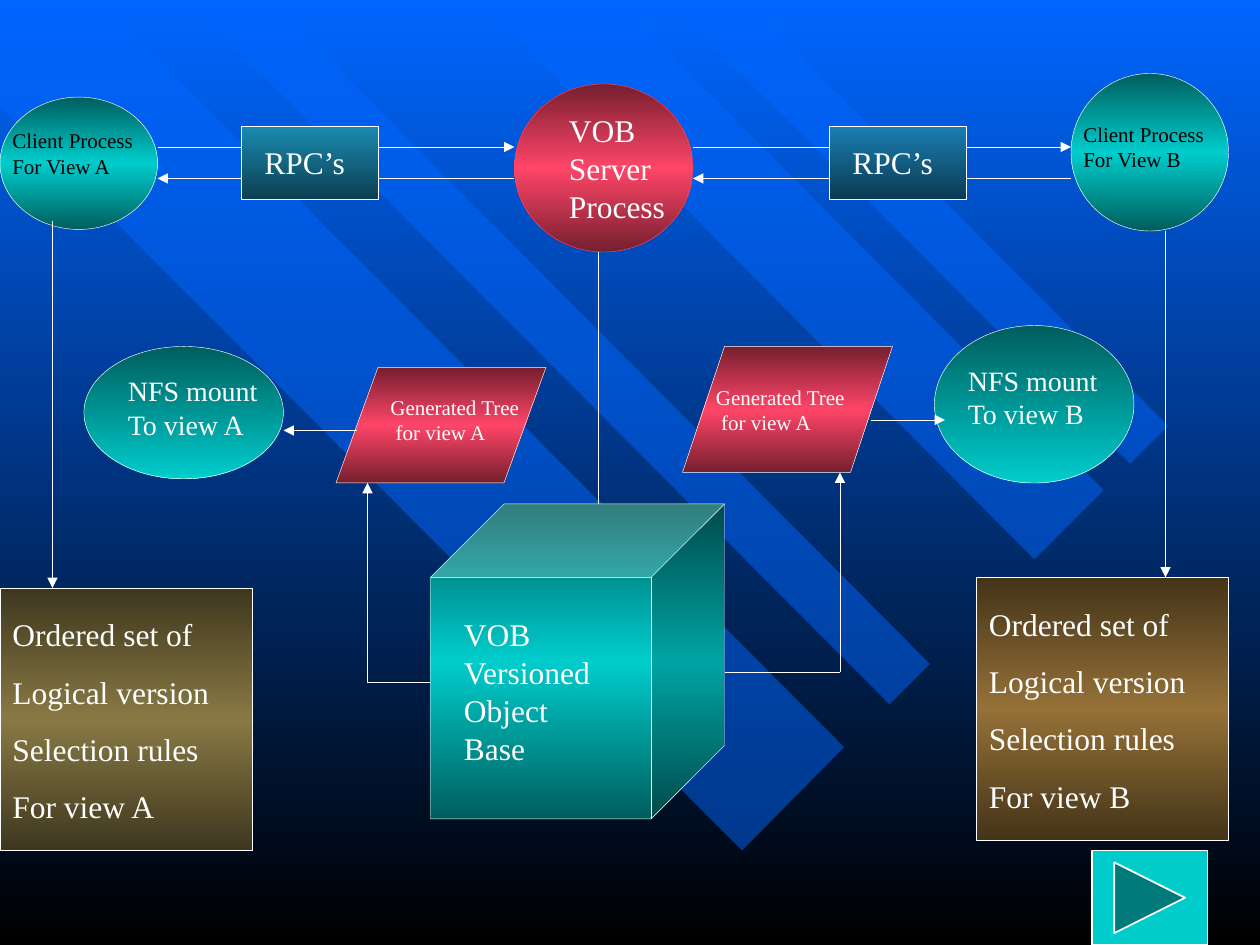
from copy import deepcopy
from dataclasses import dataclass

from pptx import Presentation
from pptx.dml.color import RGBColor
from pptx.enum.shapes import MSO_CONNECTOR, MSO_SHAPE
from pptx.enum.text import MSO_AUTO_SIZE
from pptx.oxml.ns import qn
from pptx.oxml.xmlchemy import OxmlElement
from pptx.util import Inches, Pt

ELLIPSE = MSO_SHAPE.OVAL
RECTANGLE = MSO_SHAPE.RECTANGLE
DATA = MSO_SHAPE.FLOWCHART_DATA
CUBE = MSO_SHAPE.CUBE
NEXT_BUTTON = MSO_SHAPE.ACTION_BUTTON_FORWARD_OR_NEXT
STRAIGHT = MSO_CONNECTOR.STRAIGHT
NO_AUTOFIT = MSO_AUTO_SIZE.NONE

COLUMNS, ROWS = 120, 90
CELL = Inches(10) / COLUMNS


@dataclass(frozen=True)
class Theme:
    font: str = "Times New Roman"
    white: str = "FFFFFF"
    black: str = "000000"
    blue: str = "0066FF"
    cyan: str = "00CCCC"
    rose: str = "FF4568"
    teal_fade: tuple = ("005E5E", "00CCCC")
    teal_band: tuple = ("005E5E", "00CCCC", "005E5E")
    rose_band: tuple = ("751F2F", "FF4568", "751F2F")
    olive_band: tuple = ("3E371F", "887944", "3E371F")
    brown_band: tuple = ("443419", "957137", "443419")
    rpc_a: tuple = ("1B8AB1", "0C3F51")
    rpc_b: tuple = ("1A7FB2", "0B3A52")
    small: int = 12
    medium: int = 16
    large: int = 18
    rule_gap: float = 11.2
    hairline: float = 0.25


THEME = Theme()

STRIPES = [
    [(670, 593), (79, 0), (0, 0), (0, 84), (589, 675)],
    [(214, 0), (738, 527), (706, 559), (149, 0)],
    [(489, 0), (876, 389), (821, 444), (380, 0)],
    [(530, 0), (897, 368), (927, 338), (591, 0)],
]

NODES = [
    (ELLIPSE, (0, 9.25, 15, 12.6), THEME.teal_band, THEME.white),
    (ELLIPSE, (102, 7, 15, 15), THEME.teal_band, THEME.white),
    (ELLIPSE, (49, 8, 17, 16), THEME.rose_band, THEME.rose),
    (ELLIPSE, (89, 31, 19, 15), THEME.teal_fade, THEME.white),
    (ELLIPSE, (8, 33, 19, 12.6), THEME.teal_fade, THEME.white),
    (RECTANGLE, (23, 12, 13, 7), THEME.rpc_a, THEME.white),
    (RECTANGLE, (79, 12, 13, 7), THEME.rpc_b, THEME.white),
    (DATA, (32, 35, 20, 11), THEME.rose_band, THEME.white),
    (DATA, (65, 33, 20, 12), THEME.rose_band, THEME.white),
    (CUBE, (41, 48, 28, 30), THEME.teal_band, THEME.white),
    (RECTANGLE, (0, 56, 24, 25), THEME.olive_band, THEME.white),
    (RECTANGLE, (93, 55, 24, 25), THEME.brown_band, THEME.white),
]

LINES = [
    (15, 14, 23, 14), (36, 17, 49, 17), (66, 14, 79, 14), (92, 17, 102, 17),
    (57, 24, 57, 48), (80, 64, 69, 64), (41, 65, 35, 65),
]

ARROWS = [
    (36, 14, 49, 14), (23, 17, 15, 17), (92, 14, 102, 14), (79, 17, 66, 17),
    (80, 64, 80, 45), (35, 65, 35, 46), (34, 41, 27, 41), (83, 40, 90, 40),
    (5, 21, 5, 56), (111, 22, 111, 55),
]

LABELS = [
    ((0, 11.6, 13.9, 6), ["Client Process", "For View A"], THEME.small, THEME.black),
    ((102, 11, 13.9, 8.4), ["Client Process", "For View B"], THEME.small, THEME.black),
    ((24, 13, 10.2, 4.8), ["RPC’s"], THEME.large, THEME.white),
    ((80, 13, 10.2, 4.8), ["RPC’s"], THEME.large, THEME.white),
    ((11, 35, 14.8, 7.7), ["NFS mount", "To view A"], THEME.medium, THEME.white),
    ((91, 34, 14.8, 10.8), ["NFS mount", "To view B"], THEME.medium, THEME.white),
    ((53, 10, 11.5, 12), ["VOB", "Server", "Process"], THEME.large, THEME.white),
    ((36, 37, 14.8, 6), ["Generated Tree", " for view A"], THEME.small, THEME.white),
    ((67, 36, 14.8, 8.4), ["Generated Tree", " for view A"], THEME.small, THEME.white),
    ((43, 58, 14.8, 15.6), ["VOB", "Versioned", "Object", "Base"], THEME.large, THEME.white),
]

RULES = ["Ordered set of", "Logical version", "Selection rules"]


def grid(*cells):
    return [round(cell * CELL) for cell in cells]


def rgb(color):
    return RGBColor.from_string(color)


def paint_gradient(fill, element, colors):
    fill.gradient()
    fill.gradient_angle = 270
    stop_list = element.find(".//" + qn("a:gsLst"))
    for _ in colors[2:]:
        stop_list.append(deepcopy(stop_list[0]))
    for index, (stop, color) in enumerate(zip(fill.gradient_stops, colors)):
        stop.position = index / (len(colors) - 1)
        stop.color.rgb = rgb(color)


def set_line(shape, color, width):
    shape.line.color.rgb = rgb(color)
    shape.line.width = Pt(width)


def add_stripe(page, points):
    builder = page.shapes.build_freeform(*points[0], scale=Inches(0.01))
    builder.add_line_segments(points[1:], close=True)
    stripe = builder.convert_to_shape()
    stripe.shadow.inherit = False
    stripe.line.fill.background()
    stripe.fill.solid()
    stripe.fill.fore_color.rgb = rgb(THEME.blue)
    alpha = OxmlElement("a:alpha")
    alpha.set("val", "50000")
    stripe.element.spPr.find(".//" + qn("a:srgbClr")).append(alpha)


def add_node(page, kind, area, colors, outline):
    node = page.shapes.add_shape(kind, *grid(*area))
    node.shadow.inherit = False
    paint_gradient(node.fill, node.element, colors)
    set_line(node, outline, THEME.hairline)


def add_line(page, ends, arrow=False):
    line = page.shapes.add_connector(STRAIGHT, *grid(*ends))
    set_line(line, THEME.white, THEME.hairline)
    if arrow:
        tail = OxmlElement("a:tailEnd")
        tail.set("type", "triangle")
        line.line._get_or_add_ln().append(tail)
    line._element.spPr.append(OxmlElement("a:effectLst"))


def add_label(page, area, texts, size, color, wrap=False, gap=0):
    box = page.shapes.add_textbox(*grid(*area))
    frame = box.text_frame
    frame.word_wrap = wrap
    frame.auto_size = NO_AUTOFIT
    for index, text in enumerate(texts):
        para = frame.add_paragraph() if index else frame.paragraphs[0]
        para.space_before = Pt(gap)
        span = para.add_run()
        span.text = text
        span.font.name = THEME.font
        span.font.size = Pt(size)
        span.font.color.rgb = rgb(color)


def add_next_button(page):
    button = page.shapes.add_shape(NEXT_BUTTON, *grid(104, 81, 11, 9))
    button.shadow.inherit = False
    button.fill.solid()
    button.fill.fore_color.rgb = rgb(THEME.cyan)
    set_line(button, THEME.white, 1)


def main():
    deck = Presentation()
    deck.slide_width, deck.slide_height = grid(COLUMNS, ROWS)
    page = deck.slides.add_slide(deck.slide_layouts[6])
    paint_gradient(page.background.fill, page.element, (THEME.blue, THEME.black))
    for points in STRIPES:
        add_stripe(page, points)
    for node in NODES:
        add_node(page, *node)
    for ends in LINES:
        add_line(page, ends)
    for ends in ARROWS:
        add_line(page, ends, arrow=True)
    for label in LABELS:
        add_label(page, *label)
    for left, top, view in [(0, 58, "A"), (93, 57, "B")]:
        add_label(page, (left, top, 22, 21.2), [*RULES, f"For view {view}"],
                  THEME.large, THEME.white, wrap=True, gap=THEME.rule_gap)
    add_next_button(page)
    deck.save("out.pptx")


if __name__ == "__main__":
    main()
